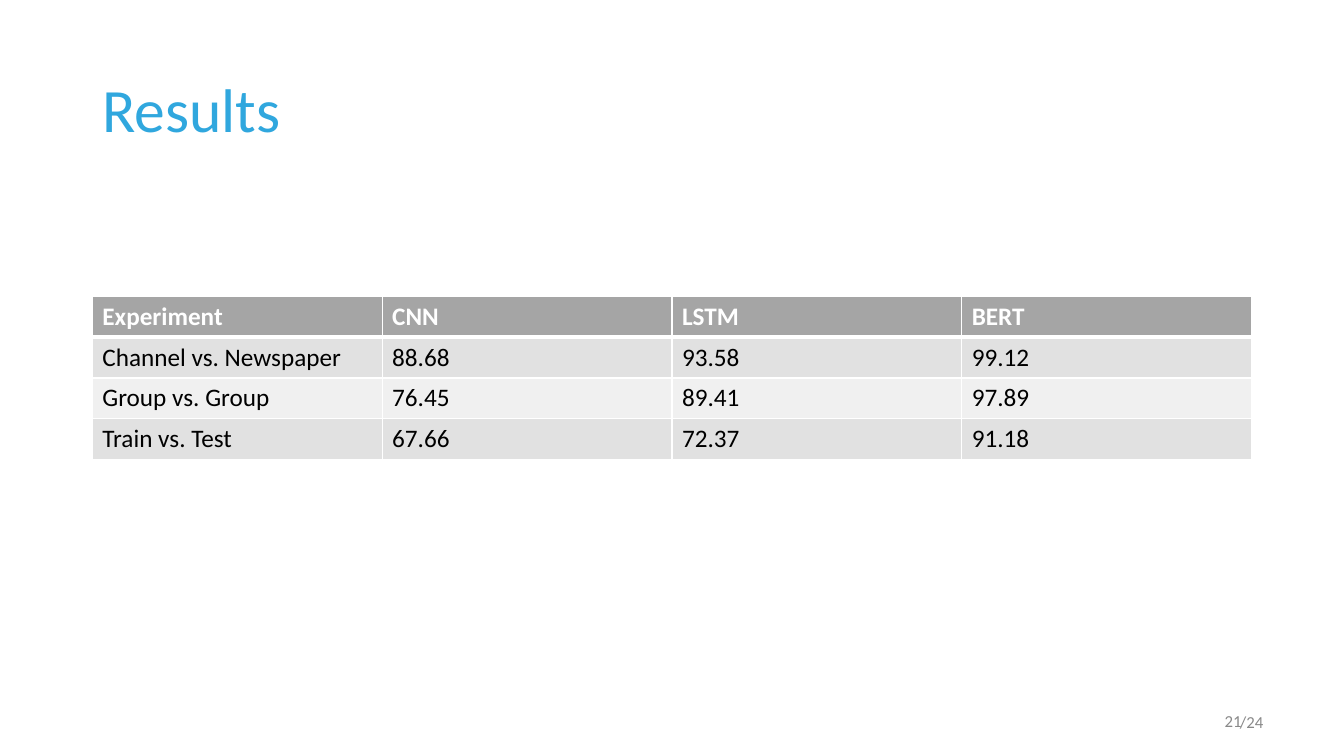
import pptx
import pptx.dml.color
import pptx.enum.text
import pptx.oxml
import pptx.oxml.ns
import pptx.util

PX = 9525
FONT = "Calibri"
COLORS = {
    "title": "30A7DE",
    "header": "A5A5A5",
    "odd_row": "E1E1E1",
    "even_row": "F0F0F0",
    "white": "FFFFFF",
    "body": "000000",
    "footer": "898989",
}
ALIGN = pptx.enum.text.PP_ALIGN


def px(*lengths):
    return [pptx.util.Emu(length * PX) for length in lengths]


def rgb(color):
    return pptx.dml.color.RGBColor.from_string(COLORS[color])


class SlideBuilder:
    def __init__(self, slide):
        self.slide = slide

    def add_run(self, paragraph, text, size, color, bold=False):
        run = paragraph.add_run()
        run.text = text
        run.font.name = FONT
        run.font.size = pptx.util.Pt(size)
        run.font.bold = bold
        run.font.color.rgb = rgb(color)

    def text(self, box, text, size, color, align=ALIGN.LEFT, line_spacing=1.0):
        frame = self.slide.shapes.add_textbox(*px(*box)).text_frame
        frame.word_wrap = True
        frame.vertical_anchor = pptx.enum.text.MSO_ANCHOR.MIDDLE
        paragraph = frame.paragraphs[0]
        paragraph.alignment = align
        paragraph.line_spacing = line_spacing
        self.add_run(paragraph, text, size, color)

    def borders(self, cell, header_edges):
        properties = cell._tc.get_or_add_tcPr()
        edges = ("lnL", "lnR", "lnT", "lnB")
        for position, edge in enumerate(edges):
            width = pptx.util.Pt(3 if edge == header_edges else 1)
            line = pptx.oxml.parse_xml(
                f'<a:{edge} {pptx.oxml.ns.nsdecls("a")} w="{width}">'
                f'<a:solidFill><a:srgbClr val="{COLORS["white"]}"/></a:solidFill>'
                f"</a:{edge}>"
            )
            properties.insert(position, line)

    def table(self, box, rows, size):
        graphic = self.slide.shapes.add_table(len(rows), len(rows[0]), *px(*box))
        thick_edges = {0: "lnB", 1: "lnT"}
        for row_index, row in enumerate(rows):
            is_header = row_index == 0
            fill = "header" if is_header else ("even_row", "odd_row")[row_index % 2]
            for column_index, value in enumerate(row):
                cell = graphic.table.cell(row_index, column_index)
                cell.fill.solid()
                cell.fill.fore_color.rgb = rgb(fill)
                self.borders(cell, thick_edges.get(row_index))
                self.add_run(
                    cell.text_frame.paragraphs[0],
                    value,
                    size,
                    "white" if is_header else "body",
                    is_header,
                )


def main():
    deck = pptx.Presentation()
    deck.slide_width, deck.slide_height = px(1280, 720)
    builder = SlideBuilder(deck.slides.add_slide(deck.slide_layouts[6]))

    results = [
        ("Experiment", "CNN", "LSTM", "BERT"),
        ("Channel vs. Newspaper", "88.68", "93.58", "99.12"),
        ("Group vs. Group", "76.45", "89.41", "97.89"),
        ("Train vs. Test", "67.66", "72.37", "91.18"),
    ]
    builder.text((88, 38, 1104, 139), "Results", 44, "title", line_spacing=0.9)
    builder.table((88, 282, 1104, 156), results, 18)
    builder.text((904, 667, 288, 38), "21", 12, "footer", ALIGN.RIGHT)
    builder.text((1104, 668, 176, 38), "/24", 12, "footer", ALIGN.CENTER)
    deck.save("out.pptx")


if __name__ == "__main__":
    main()
